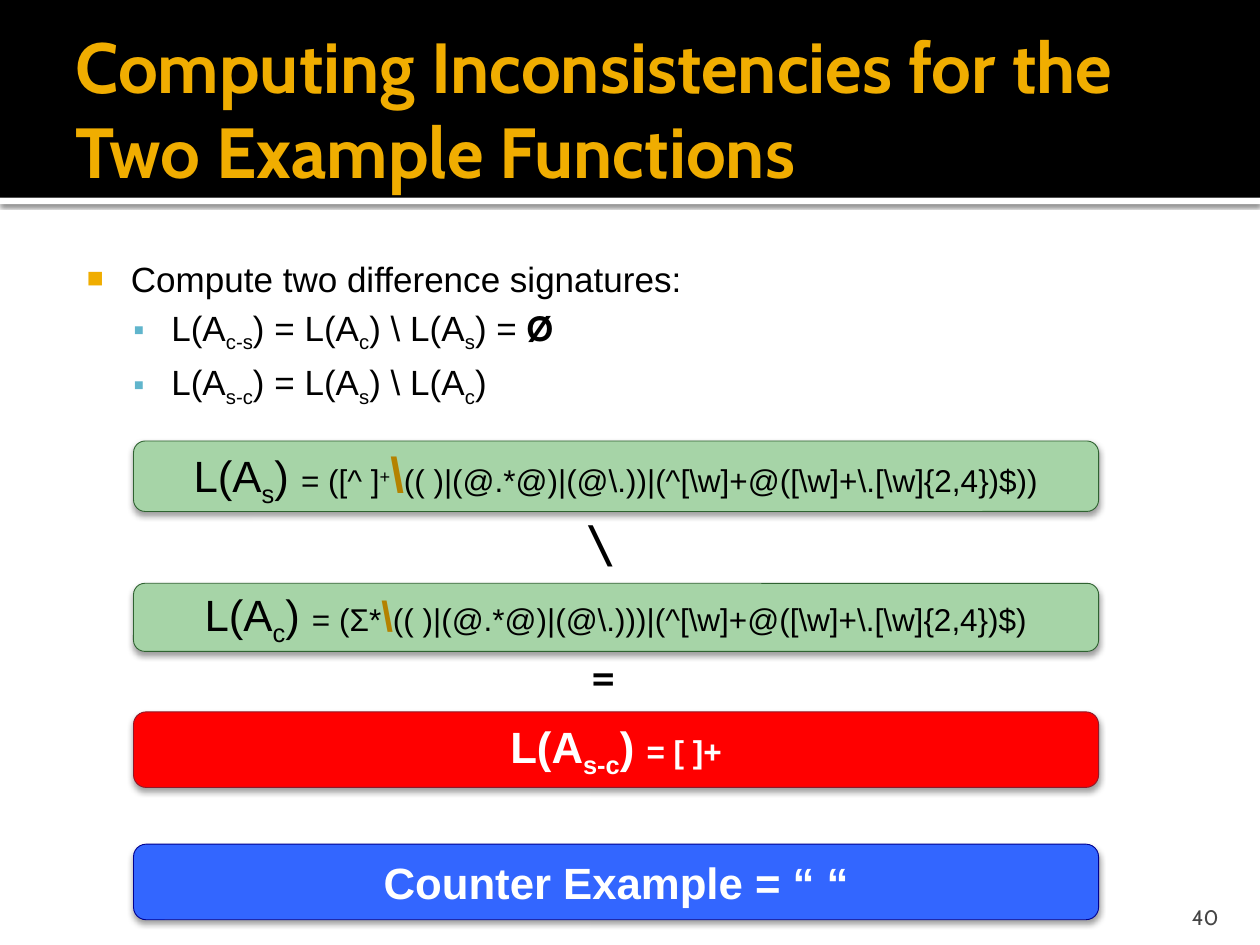
from lxml.etree import SubElement
from pptx import Presentation
from pptx.dml.color import RGBColor
from pptx.enum.shapes import MSO_SHAPE as Shape
from pptx.enum.text import MSO_ANCHOR as Anchor, MSO_AUTO_SIZE as AutoSize, PP_ALIGN as Align
from pptx.oxml.ns import qn
from pptx.util import Inches, Pt

COLORS = {
    "black": "000000", "white": "FFFFFF", "gold": "F0AD00", "dark_gold": "B48200",
    "teal": "60B5CC", "gray": "454545", "green": "A6D4A7", "green_line": "2F6231",
    "red": "FF0000", "red_line": "901929", "blue": "3366FF", "blue_line": "000090",
}
CELL = 0.1  # grid of 100 columns by 75 rows, in inches
BAR_LEFT, BAR_WIDTH = 10.6, 76.6


def color(name):
    return RGBColor.from_string(COLORS[name])


def sub(text):
    return text, {"baseline": -25}


class SlideBuilder:
    def __init__(self, presentation):
        self.slide = presentation.slides.add_slide(presentation.slide_layouts[5])
        self.shapes = self.slide.shapes

    def grid(self, *cells):
        return [Inches(round(cell * CELL, 2)) for cell in cells]

    def shadow(self, shape, alpha, blur, distance):
        effects = shape._element.spPr.find(qn("a:effectLst"))
        outer = SubElement(effects, qn("a:outerShdw"), blurRad=str(Pt(blur)),
                           dist=str(Pt(distance)), dir="5400000", rotWithShape="0")
        rgb = SubElement(outer, qn("a:srgbClr"), val=COLORS["black"])
        SubElement(rgb, qn("a:alpha"), val=str(alpha * 1000))

    def block(self, kind, box, fill, line=None):
        shape = self.shapes.add_shape(kind, *self.grid(*box))
        shape.shadow.inherit = False
        shape.fill.solid()
        shape.fill.fore_color.rgb = color(fill)
        if line:
            shape.line.color.rgb = color(line)
            shape.line.width = Pt(0.5)
        else:
            shape.line.fill.background()
        return shape

    def frame(self, shape, anchor, insets=(1, 0.5, 1, 0.5), wrap=True):
        frame = shape.text_frame
        frame.word_wrap = wrap
        frame.auto_size = AutoSize.NONE
        frame.vertical_anchor = anchor
        (frame.margin_left, frame.margin_top,
         frame.margin_right, frame.margin_bottom) = self.grid(*insets)
        return frame

    def add_runs(self, paragraph, parts, size, ink="black", font="Arial", bold=False,
                 align=Align.LEFT):
        """Fill a paragraph with strings, or (string, changes) pairs."""
        paragraph.alignment = align
        paragraph.font.size, paragraph.font.name = Pt(size), font
        paragraph.font.bold, paragraph.font.color.rgb = bold, color(ink)
        for part in parts:
            text, changes = (part, {}) if isinstance(part, str) else part
            run = paragraph.add_run()
            run.text = text
            if "size" in changes:
                run.font.size = Pt(changes["size"])
            if "ink" in changes:
                run.font.color.rgb = color(changes["ink"])
            if "bold" in changes:
                run.font.bold = changes["bold"]
            if "font" in changes:
                run.font.name = changes["font"]
            if "baseline" in changes:
                run._r.get_or_add_rPr().set("baseline", str(changes["baseline"] * 1000))

    def title(self, box, text):
        title = self.shapes.title
        self.shapes._spTree.append(title._element)  # in front of the header band
        title.left, title.top, title.width, title.height = self.grid(*box)
        frame = self.frame(title, Anchor.MIDDLE, (1, 0.5, 0.5, 0.5))
        self.add_runs(frame.paragraphs[0], [text], 40.5, "gold", "Cabin", True)

    def text(self, box, parts, size, ink="black", align=Align.LEFT,
             anchor=Anchor.TOP, insets=(1, 0.5, 1, 0.5), wrap=True):
        shape = self.shapes.add_textbox(*self.grid(*box))
        frame = self.frame(shape, anchor, insets, wrap)
        self.add_runs(frame.paragraphs[0], parts, size, ink, "Cabin", align=align)

    def bullets(self, box, items):
        shape = self.shapes.add_textbox(*self.grid(*box))
        frame = self.frame(shape, Anchor.TOP, (0.6, 1, 1, 0.5))
        styles = [("■", "gold", 80, 0.48, 0.35), ("▪", "teal", 90, 0.8, 0.3)]
        for index, (level, parts) in enumerate(items):
            paragraph = frame.add_paragraph() if index else frame.paragraphs[0]
            mark, ink, percent, indent, hanging = styles[level]
            paragraph.level = level
            if index:
                paragraph.space_before = Pt(4)
            properties = paragraph._p.get_or_add_pPr()
            properties.set("marL", str(Inches(indent)))
            properties.set("indent", str(-Inches(hanging)))
            bullet_color = SubElement(properties, qn("a:buClr"))
            SubElement(bullet_color, qn("a:srgbClr"), val=COLORS[ink])
            SubElement(properties, qn("a:buSzPct"), val=str(percent * 1000))
            SubElement(properties, qn("a:buFont"), typeface="Arial")
            SubElement(properties, qn("a:buChar"), char=mark)
            self.add_runs(paragraph, parts, 20)

    def bar(self, top, height, fill, parts, ink="black", bold=False):
        box = (BAR_LEFT, top, BAR_WIDTH, height)
        shape = self.block(Shape.ROUNDED_RECTANGLE, box, fill, fill + "_line")
        self.shadow(shape, 38, 3.5, 2)
        frame = self.frame(shape, Anchor.MIDDLE)
        self.add_runs(frame.paragraphs[0], parts, 25, ink, bold=bold, align=Align.CENTER)


def main():
    presentation = Presentation()
    presentation.slide_width, presentation.slide_height = Inches(10), Inches(7.5)
    builder = SlideBuilder(presentation)

    rule = builder.block(Shape.RECTANGLE, (0, 15.7, 100, 0.5), "white")
    builder.shadow(rule, 60, 2.5, 0.8)
    builder.block(Shape.RECTANGLE, (0, 0, 100, 15.7), "black")
    builder.title((5, 1.7, 90, 13.7), "Computing Inconsistencies for the Two Example Functions")

    builder.bullets((5, 19.4, 90, 50.6), [
        (0, ["Compute two difference signatures:"]),
        (1, ["L(A", sub("c-s"), ") = L(A", sub("c"), ") \\ L(A", sub("s"), ") = ",
             ("Ø", {"font": "Cabin", "bold": True})]),
        (1, ["L(A", sub("s-c"), ") = L(A", sub("s"), ") \\ L(A", sub("c"), ")"]),
    ])
    builder.text((89.7, 70.8, 8, 3), ["40"], 12, "gray", Align.RIGHT, Anchor.BOTTOM, (1, 0.5, 1, 0))

    small = {"size": 18}
    builder.bar(35, 5.6, "green", [
        "L(A", sub("s"), ") ", ("= ([^ ]", small), ("+", {"size": 18, "baseline": 30}),
        ("\\", {"size": 28, "ink": "dark_gold", "bold": True}),
        ("(( )|(@.*@)|(@\\.))|(^[\\w]+@([\\w]+\\.[\\w]{2,4})$))", small)])
    builder.bar(46.3, 5.4, "green", [
        "L(A", sub("c"), ") ", ("= (Σ*", small),
        ("\\", {"size": 24, "ink": "dark_gold", "bold": True}),
        ("(( )|(@.*@)|(@\\.)))|(^[\\w]+@([\\w]+\\.[\\w]{2,4})$)", small)])
    builder.bar(56.5, 6, "red", ["L(A", sub("s-c"), ") ", ("= [ ]+", small)], "white", True)
    builder.bar(67, 6, "blue", ["Counter Example = “ “"], "white", True)

    builder.text((45.6, 40, 3.2, 6.1), ["\\"], 30, wrap=False)
    builder.text((45.9, 50.5, 4.2, 6.1), ["="], 30, wrap=False)
    presentation.save("out.pptx")


if __name__ == "__main__":
    main()
